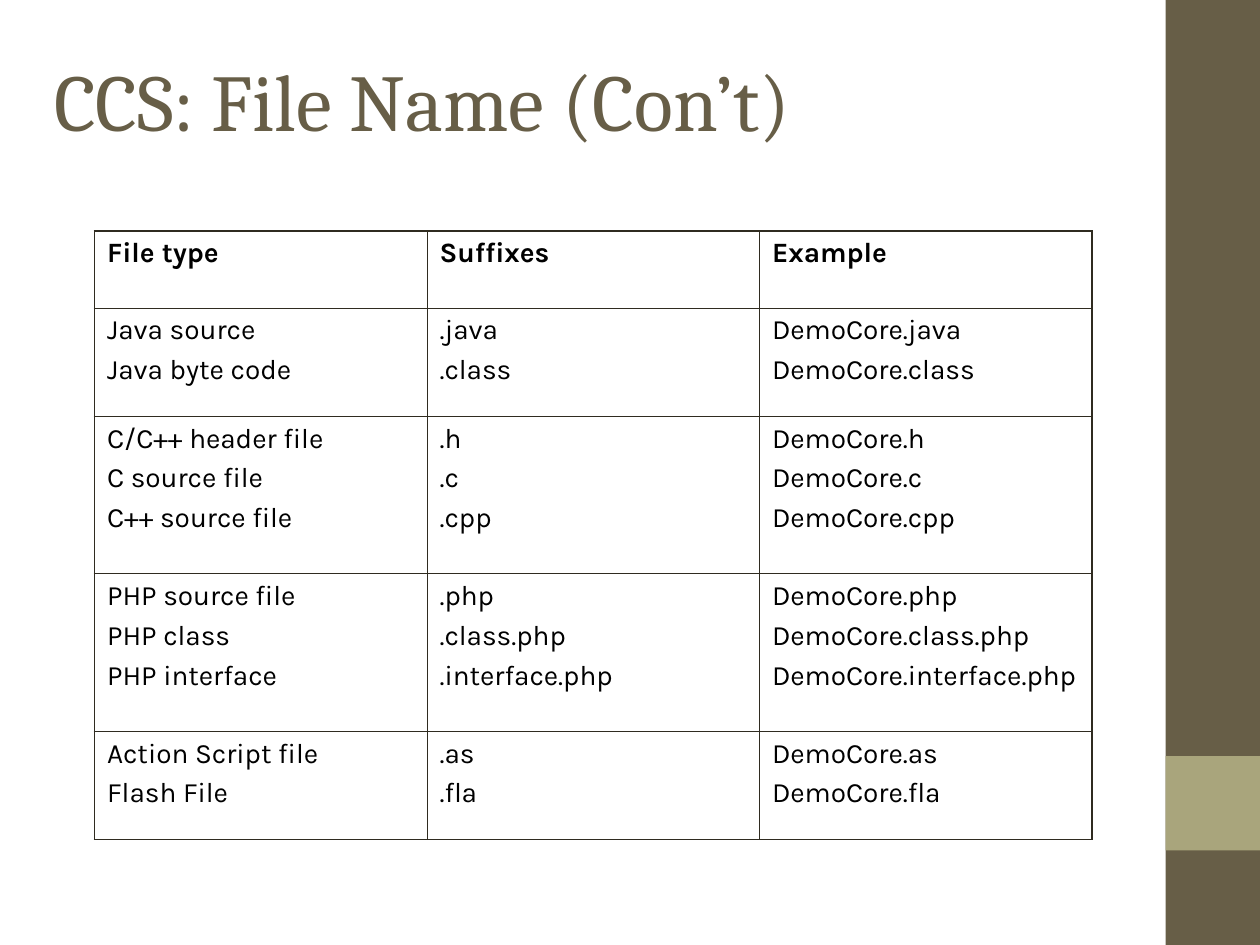
"""Build the file-name suffix slide: a title, a side band and a bordered table."""
from dataclasses import dataclass

from lxml import etree
from pptx import Presentation, util as u
from pptx.dml.color import RGBColor
from pptx.enum import shapes, text
from pptx.oxml import ns


@dataclass(frozen=True)
class Theme:
    band: str = "675E47"
    accent: str = "A9A57C"
    border: str = "2F2B20"
    ink: str = "000000"
    title_font: str = "Cambria"
    body_font: str = "Karla"
    title_pt: int = 46
    body_pt: int = 16
    gap_pt: int = 4
    outer_pt: float = 1.08
    inner_pt: float = 0.45


def add_run(p, words, font, size, color, bold=False):
    r = p.add_run()
    r.text = words
    r.font.name, r.font.size, r.font.bold = font, u.Pt(size), bold
    r.font.color.rgb = RGBColor.from_string(color)


def set_border(cell, side, color, width):
    tc_pr = cell._tc.get_or_add_tcPr()
    ln = etree.Element(ns.qn(f"a:ln{side}"), w=str(u.Pt(width)))
    fill = etree.SubElement(ln, ns.qn("a:solidFill"))
    etree.SubElement(fill, ns.qn("a:srgbClr"), val=color)
    tc_pr.insert("LRTB".index(side), ln)


th = Theme()
prs = Presentation()
prs.slide_width, prs.slide_height = u.Inches(10), u.Inches(7.5)
unit = prs.slide_width // 120
s = prs.slides.add_slide(prs.slide_layouts[5])

for top, height, color in [(0, 90, th.band), (72, 9, th.accent)]:
    sp = s.shapes.add_shape(shapes.MSO_SHAPE.RECTANGLE, 111 * unit, top * unit, 9 * unit, height * unit)
    sp.shadow.inherit = False
    sp.fill.solid()
    sp.fill.fore_color.rgb = RGBColor.from_string(color)
    sp.line.fill.background()

title = s.shapes.title
title.left, title.top, title.width, title.height = 4 * unit, 2 * unit, 111 * unit, 15 * unit
tf = title.text_frame
tf.word_wrap = True
tf.vertical_anchor = text.MSO_ANCHOR.MIDDLE
p = tf.paragraphs[0]
p.alignment = text.PP_ALIGN.LEFT
add_run(p, "CCS: File Name (Con’t)", th.title_font, th.title_pt, th.band)

groups = [
    [("Java source", ".java"), ("Java byte code", ".class")],
    [("C/C++ header file", ".h"), ("C source file", ".c"), ("C++ source file", ".cpp")],
    [("PHP source file", ".php"), ("PHP class", ".class.php"), ("PHP interface", ".interface.php")],
    [("Action Script file", ".as"), ("Flash File", ".fla")],
]
rows = [[("File type", "Suffixes", "Example")]]
rows += [[(kind, suffix, f"DemoCore{suffix}") for kind, suffix in group] for group in groups]
row_heights = {1: 0.61, 2: 0.86, 3: 1.25}

table = s.shapes.add_table(len(rows), 3, 9 * unit, 22 * unit, 95 * unit, 58 * unit).table
table.first_row = table.horz_banding = False
for col in table.columns:
    col.width = 95 * unit // 3

for i, lines in enumerate(rows):
    table.rows[i].height = u.Inches(row_heights[len(lines)])
    for j, words in enumerate(zip(*lines)):
        cell = table.cell(i, j)
        cell.fill.background()
        tf = cell.text_frame
        for k, line in enumerate(words):
            p = tf.add_paragraph() if k else tf.paragraphs[0]
            p.space_before = u.Pt(th.gap_pt)
            add_run(p, line, th.body_font, th.body_pt, th.ink, bold=i == 0)
        edges = {"L": j == 0, "R": j == 2, "T": i == 0, "B": i == len(rows) - 1}
        for side, outer in edges.items():
            set_border(cell, side, th.border, th.outer_pt if outer else th.inner_pt)

prs.save("out.pptx")
